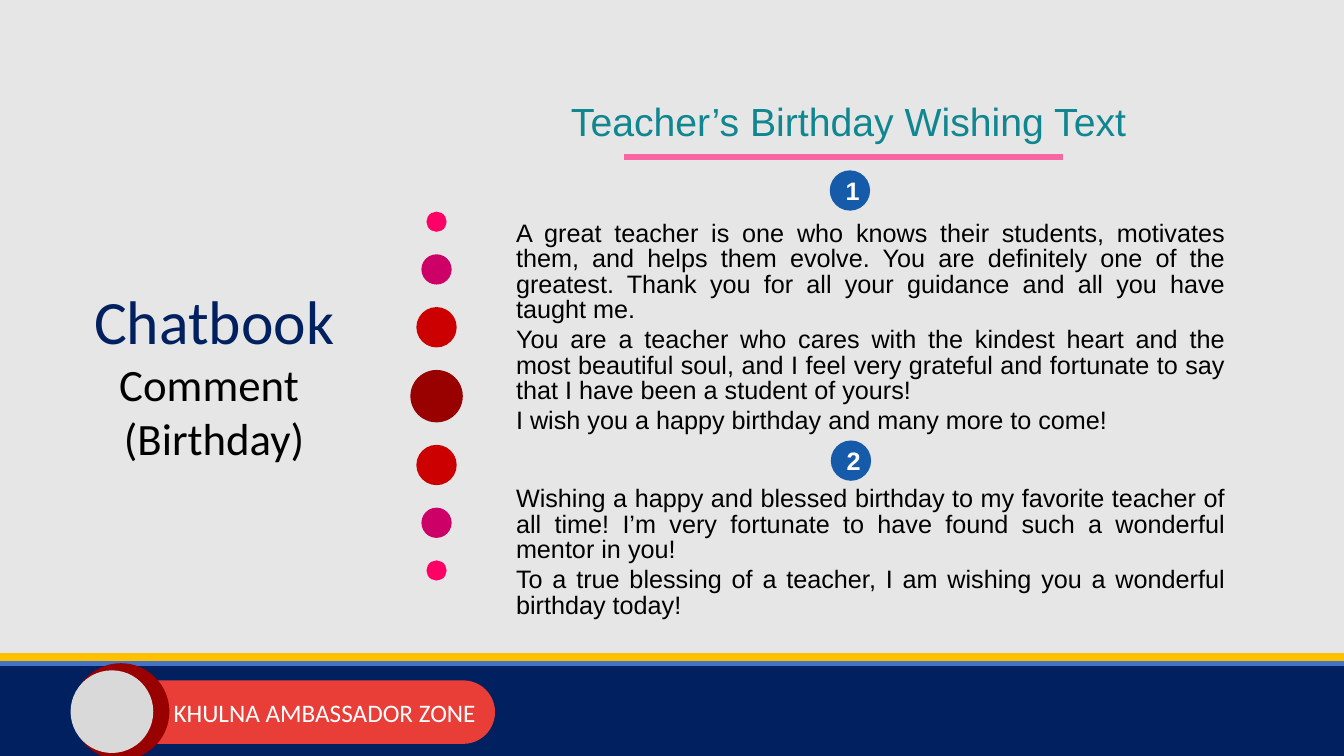
from lxml.etree import SubElement
from pptx import Presentation
from pptx.dml.color import RGBColor
from pptx.enum.shapes import MSO_CONNECTOR, MSO_SHAPE
from pptx.enum.text import MSO_ANCHOR, PP_ALIGN as Align
from pptx.oxml.ns import qn
from pptx.util import Inches, Pt

COLORS = {
    "background": "E7E6E6", "navy": "002060", "blue": "4472C4", "gold": "FFC000",
    "coral": "E93E37", "maroon": "990000", "red": "CC0000", "magenta": "CC0066",
    "rose": "FF0066", "grey": "D9D9D9", "teal": "108690", "badge": "165BAA",
    "pink": "F765A3", "black": "000000", "white": "FFFFFF",
}
SLIDE_WIDTH, SLIDE_HEIGHT = 13.33, 7.5
FOOTER_TOP = 6.58

ZONE = "KHULNA AMBASSADOR ZONE"
HEADING = "Teacher’s Birthday Wishing Text"
TOPIC = [("Chatbook ", 44, "navy"), ("Comment ", 32, "black"), ("(Birthday)", 32, "black")]

# number, badge left and top, text top and height, paragraphs
WISHES = [
    ("1", 8.23, 1.69, 2.16, 2.24, [
        "A great teacher is one who knows their students, motivates them, and helps them "
        "evolve. You are definitely one of the greatest. Thank you for all your guidance "
        "and all you have taught me.",
        "You are a teacher who cares with the kindest heart and the most beautiful soul, "
        "and I feel very grateful and fortunate to say that I have been a student of yours!",
        "I wish you a happy birthday and many more to come!",
    ]),
    ("2", 8.24, 4.37, 4.79, 1.43, [
        "Wishing a happy and blessed birthday to my favorite teacher of all time! I’m very "
        "fortunate to have found such a wonderful mentor in you!",
        "To a true blessing of a teacher, I am wishing you a wonderful birthday today!",
    ]),
]
WISH_LEFT, WISH_WIDTH, BADGE_SIZE = 5.02, 7.23, 0.4

# diameter and colour, from the outside to the centre
HALF_BEADS = [(0.2, "rose"), (0.3, "magenta"), (0.4, "red")]
BEADS = HALF_BEADS + [(0.52, "maroon")] + HALF_BEADS[::-1]
BEAD_CENTER, BEADS_TOP, BEADS_HEIGHT = 4.33, 2.1, 3.66

# left, right, y, colour, width in points
FOOTER_LINES = [(0, SLIDE_WIDTH, 6.58, "blue", 4.5), (0, SLIDE_WIDTH, 6.52, "gold", 6)]
HEADING_LINE = (6.19, 10.54, 1.56, "pink", 4.5)


def color(name):
    return RGBColor.from_string(COLORS[name])


def add_filled(slide, kind, left, top, width, height, fill):
    shape = slide.shapes.add_shape(kind, Inches(left), Inches(top), Inches(width), Inches(height))
    shape.shadow.inherit = False
    shape.fill.solid()
    shape.fill.fore_color.rgb = color(fill)
    shape.line.fill.background()
    return shape


def add_circle(slide, left, top, size, fill):
    return add_filled(slide, MSO_SHAPE.OVAL, left, top, size, size, fill)


def add_rule(slide, left, right, y, line_color, width):
    rule = slide.shapes.add_connector(
        MSO_CONNECTOR.STRAIGHT, Inches(left), Inches(y), Inches(right), Inches(y))
    rule.line.color.rgb = color(line_color)
    rule.line.width = Pt(width)
    SubElement(rule._element.spPr, qn("a:effectLst"))


def add_text_box(slide, left, top, width, height, wrap=True):
    box = slide.shapes.add_textbox(Inches(left), Inches(top), Inches(width), Inches(height))
    box.text_frame.word_wrap = wrap
    return box.text_frame


def write(frame, index, text, size, font, text_color, alignment, bold=False):
    """Write one paragraph; index 0 uses the paragraph the frame already has."""
    paragraph = frame.add_paragraph() if index else frame.paragraphs[0]
    paragraph.alignment = alignment
    run = paragraph.add_run()
    run.text = text
    run.font.size = Pt(size)
    run.font.name = font
    run.font.bold = bold
    run.font.color.rgb = color(text_color)
    return paragraph


def add_footer(slide):
    add_filled(slide, MSO_SHAPE.RECTANGLE, 0, FOOTER_TOP, SLIDE_WIDTH,
               SLIDE_HEIGHT - FOOTER_TOP, "navy")
    for line in FOOTER_LINES:
        add_rule(slide, *line)
    label = add_filled(slide, MSO_SHAPE.ROUND_2_DIAG_RECTANGLE, 1.14, 6.75, 3.77, 0.63, "coral")
    label.adjustments[0] = label.adjustments[1] = 0.5
    label.text_frame.vertical_anchor = MSO_ANCHOR.MIDDLE
    write(label.text_frame, 0, ZONE, 18, "Calibri", "white", Align.RIGHT)
    add_circle(slide, 0.72, FOOTER_TOP, 0.96, "maroon")
    add_circle(slide, 0.7, 6.65, 0.82, "grey")


def add_beads(slide):
    gap = (BEADS_HEIGHT - sum(size for size, _ in BEADS)) / (len(BEADS) - 1)
    top = BEADS_TOP
    for size, fill in BEADS:
        add_circle(slide, BEAD_CENTER - size / 2, top, size, fill)
        top += size + gap


def add_wish(slide, number, badge_left, badge_top, top, height, paragraphs):
    frame = add_text_box(slide, WISH_LEFT, top, WISH_WIDTH, height)
    for index, text in enumerate(paragraphs):
        paragraph = write(frame, index, text, 18, "Arial", "black", Align.JUSTIFY)
        paragraph.line_spacing = Pt(18)
        paragraph.space_after = Pt(3.8)
    badge = add_circle(slide, badge_left, badge_top, BADGE_SIZE, "badge")
    badge.text_frame.vertical_anchor = MSO_ANCHOR.MIDDLE
    write(badge.text_frame, 0, number, 18, "Arial", "white", Align.CENTER, bold=True)


def main():
    presentation = Presentation()
    presentation.slide_width = Inches(SLIDE_WIDTH)
    presentation.slide_height = Inches(SLIDE_HEIGHT)
    slide = presentation.slides.add_slide(presentation.slide_layouts[6])
    slide.background.fill.solid()
    slide.background.fill.fore_color.rgb = color("background")

    add_footer(slide)
    add_beads(slide)
    topic = add_text_box(slide, 0.81, 2.76, 2.63, 1.92, wrap=False)
    for index, (text, size, text_color) in enumerate(TOPIC):
        write(topic, index, text, size, "Calibri", text_color, Align.CENTER)
    heading = add_text_box(slide, 4.8, 0.92, 7.23, 0.57)
    write(heading, 0, HEADING, 28, "Arial", "teal", Align.CENTER)
    for wish in WISHES:
        add_wish(slide, *wish)
    add_rule(slide, *HEADING_LINE)
    presentation.save("out.pptx")


if __name__ == "__main__":
    main()
